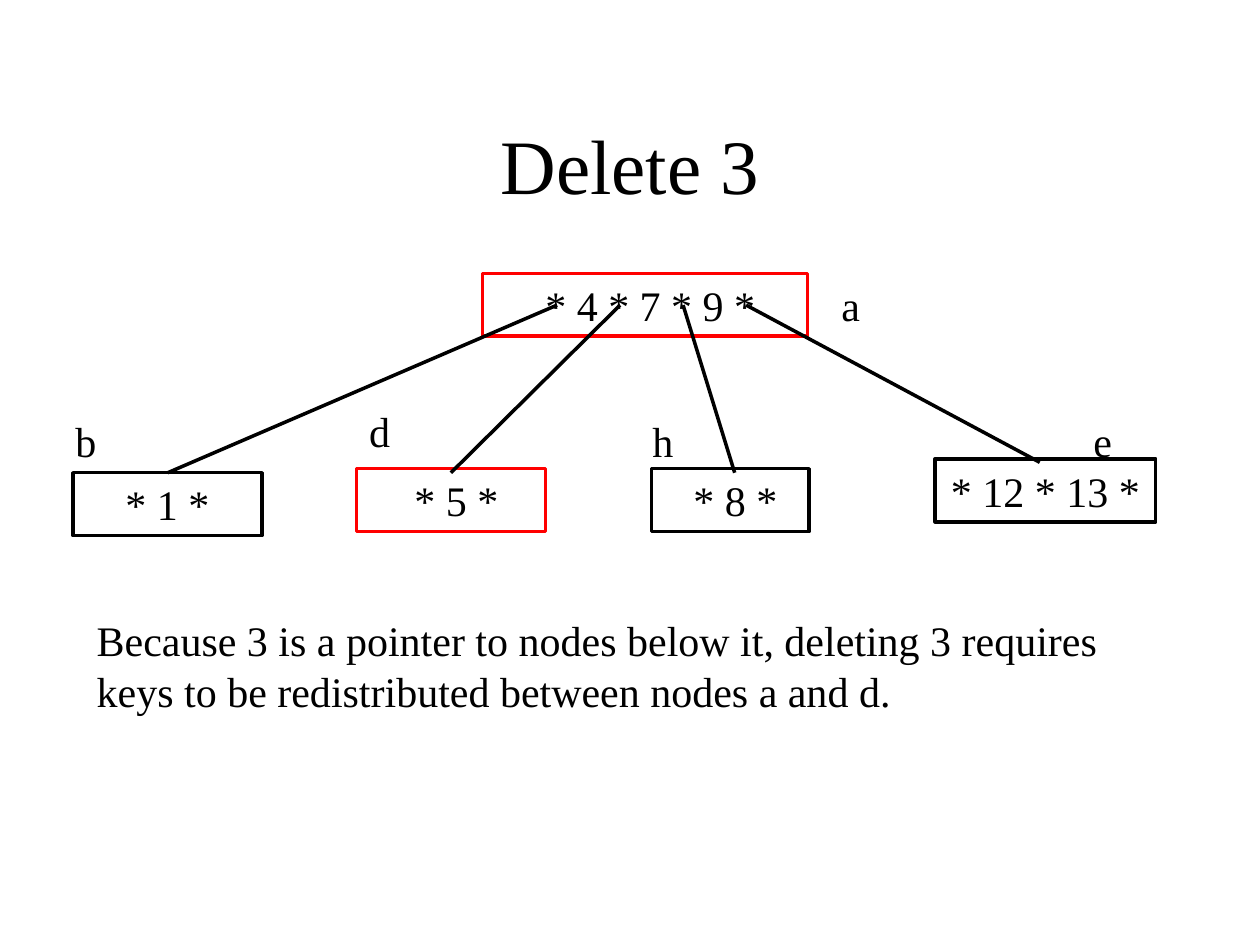
from lxml import etree
from pptx import Presentation
from pptx import util as u
from pptx.dml.color import RGBColor
from pptx.enum import shapes, text
from pptx.oxml.ns import qn

FONT = "Times New Roman"
BLACK, RED = "000000", "FF0000"
ROW_HEIGHT = 1.27

# Tree nodes: text, left, top, width, line colour (cm)
NODES = [
    (" * 4 * 7 * 9 *", 9.73, 5.51, 6.55, RED),
    ("* 1 *", 1.47, 9.53, 3.81, BLACK),
    (" * 5 *", 7.19, 9.45, 3.81, RED),
    (" * 8 *", 13.13, 9.45, 3.18, BLACK),
    ("* 12 * 13 *", 18.85, 9.25, 4.45, BLACK),
]

# Node names: text, left, top (cm)
LABELS = [
    ("a", 16.71, 5.51),
    ("b", 1.27, 8.26),
    ("d", 7.19, 8.05),
    ("h", 12.9, 8.26),
    ("e", 21.79, 8.26),
]

# Pointers start at equal steps in the root and end at its children (cm)
POINTER_LEFT, POINTER_TOP, POINTER_STEP = 11.23, 6.15, 1.27
POINTER_ENDS = [(3.38, 9.53), (9.09, 9.53), (14.81, 9.53), (20.96, 9.32)]


def color(value):
    return RGBColor.from_string(value)


def write(shape, content, size=24, align=text.PP_ALIGN.LEFT,
          anchor=text.MSO_ANCHOR.TOP):
    frame = shape.text_frame
    frame.word_wrap = True
    frame.vertical_anchor = anchor
    paragraph = frame.paragraphs[0]
    paragraph.alignment = align
    paragraph.line_spacing = u.Pt(size * 1.2)
    run = paragraph.add_run()
    run.text = content
    run.font.name = FONT
    run.font.size = u.Pt(size)
    run.font.color.rgb = color(BLACK)


def add_text(slide, content, left, top, width, height, **style):
    box = slide.shapes.add_textbox(
        u.Cm(left), u.Cm(top), u.Cm(width), u.Cm(height))
    write(box, content, **style)


def style_line(shape, line_color):
    shape.line.color.rgb = color(line_color)
    shape.line.width = u.Pt(2)


def add_node(slide, content, left, top, width, line_color):
    node = slide.shapes.add_shape(
        shapes.MSO_SHAPE.RECTANGLE,
        u.Cm(left), u.Cm(top), u.Cm(width), u.Cm(ROW_HEIGHT))
    node.shadow.inherit = False
    node.fill.background()
    style_line(node, line_color)
    write(node, content, align=text.PP_ALIGN.CENTER)


def add_pointer(slide, start, end):
    pointer = slide.shapes.add_connector(
        shapes.MSO_CONNECTOR.STRAIGHT, *map(u.Cm, start + end))
    style_line(pointer, BLACK)
    etree.SubElement(pointer._element.spPr, qn("a:effectLst"))


def main():
    presentation = Presentation()
    presentation.slide_width = u.Cm(25.4)
    presentation.slide_height = u.Cm(19.05)
    slide = presentation.slides.add_slide(presentation.slide_layouts[6])

    # Title
    add_text(slide, "Delete 3", 1.91, 1.7, 21.59, 3.18, size=44,
             align=text.PP_ALIGN.CENTER, anchor=text.MSO_ANCHOR.MIDDLE)

    # Tree
    for node in NODES:
        add_node(slide, *node)
    for index, end in enumerate(POINTER_ENDS):
        start = (POINTER_LEFT + index * POINTER_STEP, POINTER_TOP)
        add_pointer(slide, start, end)
    for name, left, top in LABELS:
        add_text(slide, name, left, top, ROW_HEIGHT, ROW_HEIGHT)

    # Explanation
    add_text(slide, "Because 3 is a pointer to nodes below it, deleting 3 "
             "requires keys to be redistributed between nodes a and d.",
             1.7, 12.27, 21.39, 2.29)

    presentation.save("out.pptx")


if __name__ == "__main__":
    main()
